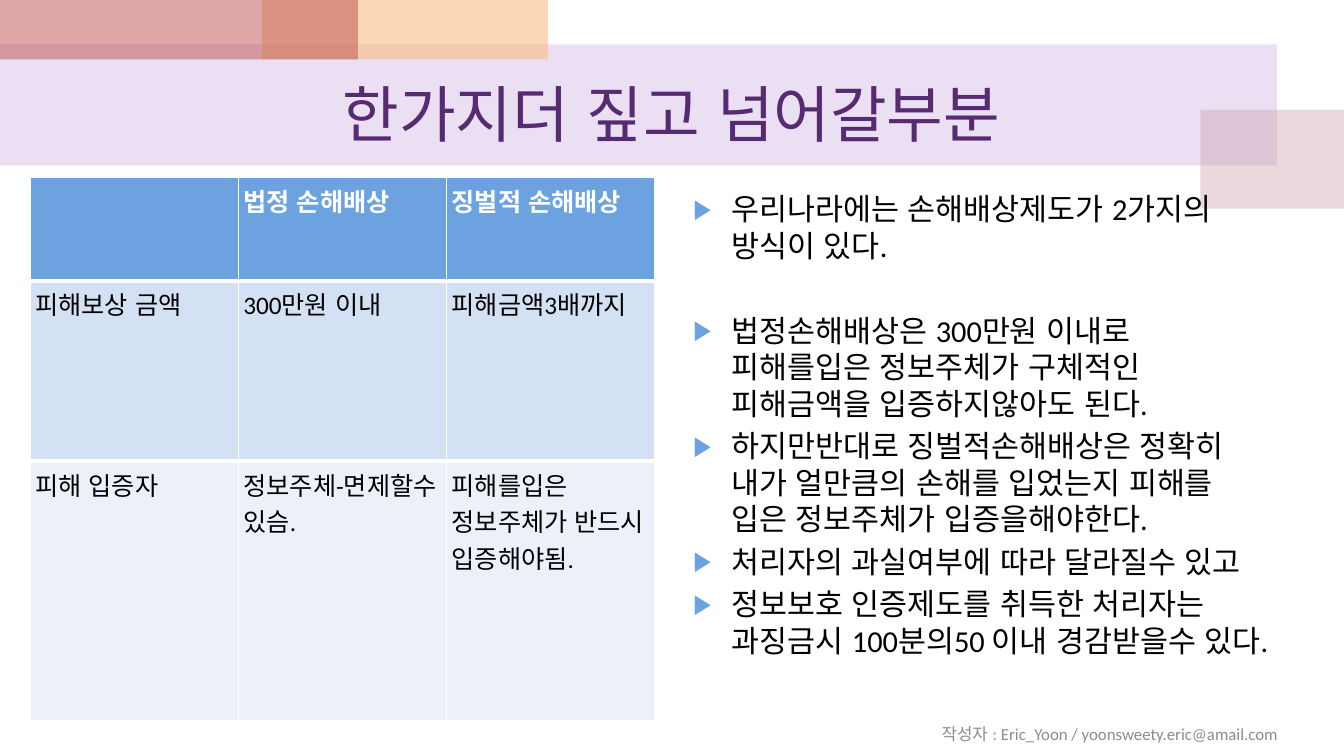
"""Build the slide comparing statutory and punitive damages."""
import pptx
import pptx.dml.color
import pptx.enum.lang
import pptx.enum.shapes
import pptx.enum.text
import pptx.oxml
import pptx.oxml.ns
import pptx.util
from pptx.util import Cm

ALIGN = pptx.enum.text.PP_ALIGN
ANCHOR = pptx.enum.text.MSO_ANCHOR

BANDS = [
    (0, 1.12, 32.18, 3.05, "BF98D8", 30),
    (30.25, 2.77, 3.63, 2.49, "CC9EAC", 40),
    (6.6, 0, 7.21, 1.5, "F5BC83", 60),
    (0, 0, 9.02, 1.5, "C0504D", 50),
]
TABLE_ROWS = [
    ("", "법정 손해배상", "징벌적 손해배상"),
    ("피해보상 금액", "300만원 이내", "피해금액3배까지"),
    ("피해 입증자", "정보주체-면제할수 있슴.", "피해를입은 정보주체가 반드시 입증해야됨."),
]
ROW_HEIGHTS = [2.6, 4.54, 6.53]
ROW_FILLS = ["6BA2DF", "D4E0F3", "EBF0F9"]
POINTS = [
    "우리나라에는 손해배상제도가 2가지의 방식이 있다.",
    "법정손해배상은 300만원 이내로 피해를입은 정보주체가 구체적인 피해금액을 입증하지않아도 된다.",
    "하지만반대로 징벌적손해배상은 정확히 내가 얼만큼의 손해를 입었는지 피해를 입은 정보주체가 입증을해야한다.",
    "처리자의 과실여부에 따라 달라질수 있고",
    "정보보호 인증제도를 취득한 처리자는 과징금시 100분의50 이내 경감받을수 있다.",
]


def set_color(color_format, hex_color):
    """Apply a hex colour to a fill colour or font colour."""
    color_format.rgb = pptx.dml.color.RGBColor.from_string(hex_color)


def format_paragraph(paragraph, size, color, bold=False, align=ALIGN.LEFT):
    """Set the alignment of a paragraph and the font of its runs."""
    paragraph.alignment = align
    for run in paragraph.runs:
        run.font.name = "Calibri"
        run.font.size = pptx.util.Pt(size)
        run.font.bold = bold
        run.font.language_id = pptx.enum.lang.MSO_LANGUAGE_ID.KOREAN
        set_color(run.font.color, color)


def place(shape, left, top, width, height):
    """Move and size a shape in centimetres."""
    shape.left, shape.top = Cm(left), Cm(top)
    shape.width, shape.height = Cm(width), Cm(height)


def add_band(slide, left, top, width, height, color, opacity):
    """Add a translucent rectangle behind the title."""
    band = slide.shapes.add_shape(
        pptx.enum.shapes.MSO_SHAPE.RECTANGLE, Cm(left), Cm(top), Cm(width), Cm(height))
    band.shadow.inherit = False
    band.line.fill.background()
    band.fill.solid()
    set_color(band.fill.fore_color, color)
    color_element = band.element.find(".//" + pptx.oxml.ns.qn("a:srgbClr"))
    alpha = pptx.oxml.parse_xml(
        f'<a:alpha {pptx.oxml.ns.nsdecls("a")} val="{opacity * 1000}"/>')
    color_element.append(alpha)
    slide.shapes.title.element.addprevious(band.element)


def fill_title(title):
    """Place and format the slide title."""
    place(title, 1.69, 1.5, 30.48, 2.67)
    title.text_frame.text = "한가지더 짚고 넘어갈부분"
    title.text_frame.vertical_anchor = ANCHOR.MIDDLE
    format_paragraph(title.text_frame.paragraphs[0], 44, "562B71", align=ALIGN.CENTER)


def add_border(cell, side, points):
    """Draw a white line along one side of a cell."""
    border = pptx.oxml.parse_xml(
        f'<a:{side} {pptx.oxml.ns.nsdecls("a")} w="{pptx.util.Pt(points)}">'
        '<a:solidFill><a:srgbClr val="FFFFFF"/></a:solidFill>'
        f'</a:{side}>')
    cell._tc.get_or_add_tcPr().insert(0, border)


def add_comparison_table(slide):
    """Add the table comparing the two kinds of damages."""
    table = slide.shapes.add_table(
        3, 3, Cm(0.77), Cm(4.48), Cm(15.74), Cm(sum(ROW_HEIGHTS))).table
    for row_index, texts in enumerate(TABLE_ROWS):
        table.rows[row_index].height = Cm(ROW_HEIGHTS[row_index])
        is_header = row_index == 0
        for column_index, text in enumerate(texts):
            cell = table.cell(row_index, column_index)
            cell.margin_left = cell.margin_right = Cm(0.12)
            cell.margin_top = cell.margin_bottom = Cm(0.12)
            cell.fill.solid()
            set_color(cell.fill.fore_color, ROW_FILLS[row_index])
            if is_header:
                add_border(cell, "lnB", 3)
            elif row_index == 1:
                add_border(cell, "lnT", 3)
            cell.text_frame.text = text
            format_paragraph(cell.text_frame.paragraphs[0], 18,
                             "FFFFFF" if is_header else "000000", bold=is_header)


def add_bullet(paragraph):
    """Give a paragraph a hanging blue triangle bullet."""
    properties = paragraph.runs[0]._r.getparent().get_or_add_pPr()
    properties.set("marL", str(Cm(0.96)))
    properties.set("indent", str(-Cm(0.96)))
    namespace = pptx.oxml.ns.nsdecls("a")
    for markup in (
        f'<a:buClr {namespace}><a:srgbClr val="6BA2DF"/></a:buClr>',
        f'<a:buSzPct {namespace} val="90000"/>',
        f'<a:buFont {namespace} typeface="Arial"/>',
        f'<a:buChar {namespace} char="▶"/>',
    ):
        properties.append(pptx.oxml.parse_xml(markup))


def fill_points(body):
    """Place the body and fill it with the bulleted points."""
    place(body, 17.22, 4.67, 14.96, 12.57)
    frame = body.text_frame
    frame.text = "\n".join(POINTS)
    frame.word_wrap = True
    frame.auto_size = pptx.enum.text.MSO_AUTO_SIZE.NONE
    frame.vertical_anchor = ANCHOR.TOP
    for index, paragraph in enumerate(frame.paragraphs):
        paragraph.line_spacing = 1.0
        paragraph.space_before = pptx.util.Pt(34.7 if index == 1 else 4.3)
        format_paragraph(paragraph, 21.7, "000000")
        add_bullet(paragraph)


def add_author(slide):
    """Add the author line at the bottom right."""
    box = slide.shapes.add_textbox(Cm(21.74), Cm(18.15), Cm(10.72), Cm(0.69))
    frame = box.text_frame
    frame.word_wrap = True
    frame.vertical_anchor = ANCHOR.MIDDLE
    frame.text = "작성자 : Eric_Yoon / yoonsweety.eric@amail.com"
    format_paragraph(frame.paragraphs[0], 12, "8C8C8C", align=ALIGN.RIGHT)


def main():
    """Create the presentation and save it."""
    presentation = pptx.Presentation()
    presentation.slide_width, presentation.slide_height = Cm(33.87), Cm(19.05)
    slide = presentation.slides.add_slide(presentation.slide_layouts[1])
    for band in BANDS:
        add_band(slide, *band)
    fill_title(slide.shapes.title)
    add_comparison_table(slide)
    fill_points(slide.placeholders[1])
    add_author(slide)
    presentation.save("out.pptx")


if __name__ == "__main__":
    main()
